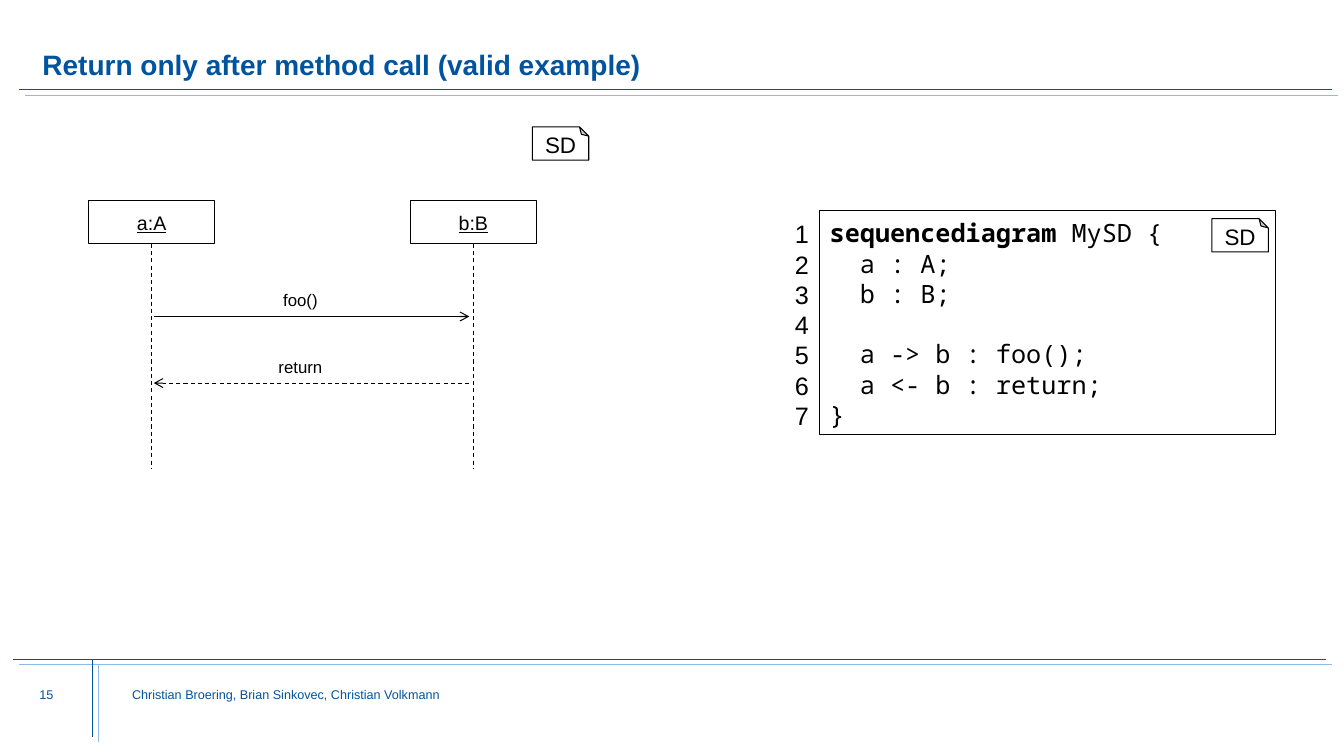
from dataclasses import dataclass

from lxml.etree import SubElement
from pptx import Presentation
from pptx.dml.color import RGBColor
from pptx.enum.dml import MSO_LINE
from pptx.enum.shapes import MSO_CONNECTOR, MSO_SHAPE
from pptx.enum.text import MSO_ANCHOR, MSO_AUTO_SIZE, PP_ALIGN
from pptx.oxml.ns import qn
from pptx.util import Inches, Pt


@dataclass(frozen=True)
class Theme:
    blue: RGBColor = RGBColor(0x00, 0x54, 0x9F)
    light_blue: RGBColor = RGBColor(0x8E, 0xBA, 0xE5)
    black: RGBColor = RGBColor(0, 0, 0)
    white: RGBColor = RGBColor(255, 255, 255)
    font: str = "Arial"
    code_font: str = "Noto Sans Mono"
    title_size: int = 20
    code_size: int = 18
    code_pitch: float = 21.6
    tag_size: int = 16
    object_size: int = 14
    message_size: int = 12
    footer_size: int = 9
    rule_width: float = 0.5
    line_width: float = 0.75


THEME = Theme()
CODE = [
    [("sequencediagram ", True), ("MySD {", False)],
    [("  a : A;", False)],
    [("  b : B;", False)],
    [("  ", False)],
    [("  a -> b : foo();", False)],
    [("  a <- b : return;", False)],
    [("}", False)],
]


def style_font(font, size, color=THEME.black, name=THEME.font, bold=False):
    font.name, font.size, font.bold = name, Pt(size), bold
    font.color.rgb = color


def add_label(slide, box, text, size, color=THEME.black, align=PP_ALIGN.LEFT,
              wrap=True, inset=None):
    label = slide.shapes.add_textbox(*map(Inches, box))
    frame = label.text_frame
    frame.text, frame.word_wrap = text, wrap
    if inset is not None:
        frame.margin_left = frame.margin_right = Inches(inset)
        frame.margin_top = frame.margin_bottom = Inches(inset)
    for paragraph in frame.paragraphs:
        paragraph.alignment = align
        for run in paragraph.runs:
            style_font(run.font, size, color)
    return label


def add_box(slide, box, preset=MSO_SHAPE.RECTANGLE, filled=True):
    shape = slide.shapes.add_shape(preset, *map(Inches, box))
    shape.shadow.inherit = False
    if filled:
        shape.fill.solid()
        shape.fill.fore_color.rgb = THEME.white
    else:
        shape.fill.background()
    shape.line.color.rgb = THEME.black
    shape.line.width = Pt(THEME.line_width)
    return shape


def add_line(slide, start, end, color=THEME.black, width=THEME.line_width,
             dashed=False, arrow=False):
    line = slide.shapes.add_connector(
        MSO_CONNECTOR.STRAIGHT, *map(Inches, (*start, *end)))
    line.line.color.rgb = color
    line.line.width = Pt(width)
    if dashed:
        line.line.dash_style = MSO_LINE.DASH
    properties = line._element.spPr
    if arrow:
        SubElement(properties.find(qn("a:ln")), qn("a:tailEnd"), type="arrow")
    SubElement(properties, qn("a:effectLst"))
    return line


def add_double_rule(slide, left, top, across=0, down=0):
    """A blue rule with a light one set off to its lower right."""
    for color, shift in ((THEME.blue, 0), (THEME.light_blue, 0.06)):
        x, y = left + shift, top + shift * 0.9
        add_line(slide, (x, y), (x + across, y + down), color, THEME.rule_width)


def add_header(slide, box, text):
    title = slide.shapes.title
    title.left, title.top, title.width, title.height = map(Inches, box)
    frame = title.text_frame
    frame.text, frame.word_wrap = text, True
    frame.auto_size = MSO_AUTO_SIZE.NONE
    frame.vertical_anchor = MSO_ANCHOR.BOTTOM
    frame.margin_left = frame.margin_right = 0
    frame.margin_top = frame.margin_bottom = 0
    paragraph = frame.paragraphs[0]
    paragraph.alignment, paragraph.line_spacing = PP_ALIGN.LEFT, 0.9
    style_font(paragraph.runs[0].font, THEME.title_size, THEME.blue, bold=True)
    add_double_rule(slide, 0.19, box[1] + box[3] + 0.08, across=13.02)


def add_footer(slide, left, top, number, authors):
    add_double_rule(slide, left, top, across=13.02)
    add_double_rule(slide, left + 0.79, top, down=0.77)
    for offset, width, text in ((0.26, 0.8, number), (1.18, 7.66, authors)):
        add_label(slide, (left + offset, top + 0.27, width, 0.43), text,
                  THEME.footer_size, THEME.blue, inset=0)


def add_diagram_tag(slide, left, top):
    """The folded note that marks a sequence diagram."""
    tag = add_box(slide, (left, top, 0.56, 0.33), MSO_SHAPE.FOLDED_CORNER)
    properties = tag._element.spPr
    guides = properties.find(qn("a:prstGeom")).find(qn("a:avLst"))
    SubElement(guides, qn("a:gd"), name="adj", fmla="val 27600")
    # Fold at the top, with the text turned upright again
    properties.find(qn("a:xfrm")).set("flipV", "1")
    frame = tag.text_frame
    frame.text, frame.word_wrap = "SD", False
    frame._txBody.find(qn("a:bodyPr")).set("rot", "10800000")
    frame.vertical_anchor = MSO_ANCHOR.MIDDLE
    paragraph = frame.paragraphs[0]
    paragraph.alignment, paragraph.line_spacing = PP_ALIGN.CENTER, 0.7
    style_font(paragraph.runs[0].font, THEME.tag_size)


def add_sequence_diagram(slide, left, top, objects, messages):
    box_width, box_height, spacing, life = 1.25, 0.43, 3.19, 2.23
    centers = [left + box_width / 2 + spacing * i for i in range(len(objects))]

    # Objects and lifelines
    for center, name in zip(centers, objects):
        head = add_box(slide, (center - box_width / 2, top, box_width, box_height))
        frame = head.text_frame
        frame.text, frame.word_wrap = name, False
        frame.vertical_anchor = MSO_ANCHOR.MIDDLE
        paragraph = frame.paragraphs[0]
        paragraph.alignment = PP_ALIGN.CENTER
        font = paragraph.runs[0].font
        style_font(font, THEME.object_size)
        font.underline = True
        bottom = top + box_height
        lifeline = add_line(slide, (center, bottom), (center, bottom + life), dashed=True)
        lifeline.begin_connect(head, 2)

    # Messages, spaced evenly down the lifelines
    middle = sum(centers) / len(centers) - 0.12
    for row, (text, is_return) in enumerate(messages):
        y = top + 1.15 + 0.66 * row
        ends = [(centers[0] + 0.02, y), (centers[1] - 0.04, y)]
        if is_return:
            ends.reverse()
        add_line(slide, *ends, dashed=is_return, arrow=True)
        add_label(slide, (middle - 0.32, y - 0.31, 0.64, 0.3), text,
                  THEME.message_size, align=PP_ALIGN.CENTER, wrap=False)


def add_code_listing(slide, left, top, width, height, lines):
    # Code frame
    listing = add_box(slide, (left, top, width, height), filled=False)
    frame = listing.text_frame
    frame.word_wrap, frame.vertical_anchor = True, MSO_ANCHOR.TOP
    frame.margin_top = Inches(0.07)
    for index, parts in enumerate(lines):
        paragraph = frame.add_paragraph() if index else frame.paragraphs[0]
        paragraph.alignment = PP_ALIGN.LEFT
        paragraph.line_spacing = Pt(THEME.code_pitch)
        for text, bold in parts:
            run = paragraph.add_run()
            run.text = text
            style_font(run.font, THEME.code_size, name=THEME.code_font, bold=bold)

    # Line numbers
    numbers = "\n".join(str(i + 1) for i in range(len(lines)))
    label = add_label(slide, (left - 0.48, top + 0.03, 0.47, height), numbers,
                      THEME.code_size, align=PP_ALIGN.RIGHT)
    for paragraph in label.text_frame.paragraphs:
        paragraph.line_spacing = Pt(THEME.code_pitch)
    add_diagram_tag(slide, left + width - 0.63, top + 0.08)


def main():
    presentation = Presentation()
    presentation.slide_width, presentation.slide_height = Inches(13.33), Inches(7.5)
    slide = presentation.slides.add_slide(presentation.slide_layouts[5])
    add_header(slide, (0.42, 0.22, 12.56, 0.59),
               "Return only after method call (valid example)")
    add_footer(slide, 0.13, 6.54, "15",
               "Christian Broering, Brian Sinkovec, Christian Volkmann")
    add_sequence_diagram(slide, 0.88, 1.99, ("a:A", "b:B"),
                         (("foo()", False), ("return", True)))
    add_diagram_tag(slide, 5.28, 1.26)
    add_code_listing(slide, 8.13, 2.09, 4.52, 2.22, CODE)
    presentation.save("out.pptx")


if __name__ == "__main__":
    main()
